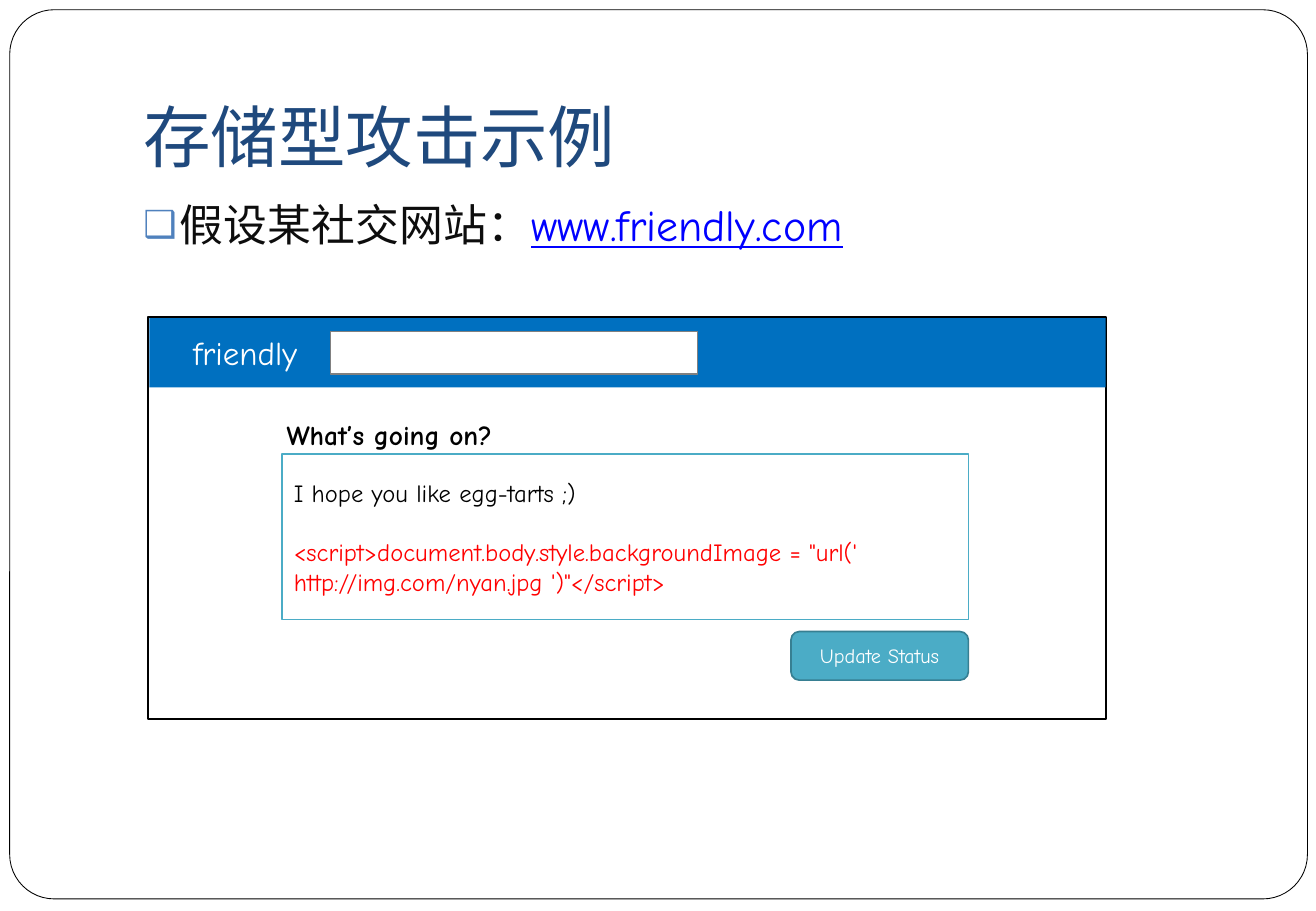
from lxml.etree import SubElement
from pptx import Presentation
from pptx.dml.color import RGBColor
from pptx.enum.shapes import MSO_SHAPE
from pptx.enum.text import MSO_ANCHOR, MSO_AUTO_SIZE, PP_ALIGN
from pptx.oxml.ns import qn
from pptx.util import Inches, Pt

WHITE = RGBColor(0xFF, 0xFF, 0xFF)
BLACK = RGBColor(0x00, 0x00, 0x00)
INK = RGBColor(0x0D, 0x0D, 0x0D)
NAVY = RGBColor(0x1F, 0x49, 0x7D)
BULLET = RGBColor(0x4F, 0x81, 0xBD)
LINK = RGBColor(0x00, 0x00, 0xFF)
BANNER = RGBColor(0x00, 0x70, 0xC0)
GREY = RGBColor(0x80, 0x80, 0x80)
TEAL = RGBColor(0x4B, 0xAC, 0xC6)
DARK_TEAL = RGBColor(0x37, 0x7F, 0x92)
RED = RGBColor(0xFF, 0x00, 0x00)


class Deck:
    """Hold the style and the current slide; boxes are percentages of the slide's size."""

    def __init__(self, font, width, height):
        self.font = font
        self.prs = Presentation()
        self.prs.slide_width, self.prs.slide_height = Inches(width), Inches(height)
        self.s = self.prs.slides.add_slide(self.prs.slide_layouts[1])
        self.shapes = self.s.shapes

    def box(self, x, y, w, h):
        width, height = self.prs.slide_width, self.prs.slide_height
        return [int(share * side / 100) for share, side in
                ((x, width), (y, height), (w, width), (h, height))]

    def run(self, p, text, size, color, **formats):
        r = p.add_run()
        r.text = text
        r.font.color.rgb = color
        for name, value in {"name": self.font, "size": Pt(size), **formats}.items():
            setattr(r.font, name, value)

    def frame(self, sp, **formats):
        tf = sp.text_frame
        defaults = {"word_wrap": True, "auto_size": MSO_AUTO_SIZE.NONE}
        for name, value in {**defaults, **formats}.items():
            setattr(tf, name, value)
        return tf

    def place(self, sp, box):
        for name, value in zip(("left", "top", "width", "height"), self.box(*box)):
            setattr(sp, name, value)

    def title(self, box, text):
        sp = self.s.shapes.title
        self.place(sp, box)
        tf = self.frame(sp, vertical_anchor=MSO_ANCHOR.BOTTOM, margin_bottom=Inches(0.1))
        p = tf.paragraphs[0]
        p.alignment = PP_ALIGN.LEFT
        self.run(p, text, 40, NAVY)

    def bullet(self, box, runs):
        sp = self.s.placeholders[1]
        self.place(sp, box)
        p = self.frame(sp).paragraphs[0]
        p.space_before = Pt(5.8)
        pPr = p._p.get_or_add_pPr()
        pPr.set("marL", str(Inches(0.3)))
        pPr.set("indent", str(-Inches(0.3)))
        color = SubElement(pPr, qn("a:buClr"))
        SubElement(color, qn("a:srgbClr"), val=str(BULLET))
        SubElement(pPr, qn("a:buSzPct"), val="85000")
        SubElement(pPr, qn("a:buChar"), char="❑")
        for text, color, underline in runs:
            self.run(p, text, 26, color, underline=underline)

    def shape(self, box, fill, line=None, weight=1, radius=None):
        kind = MSO_SHAPE.RECTANGLE if radius is None else MSO_SHAPE.ROUNDED_RECTANGLE
        sp = self.shapes.add_shape(kind, *self.box(*box))
        sp.shadow.inherit = False
        sp.fill.solid()
        sp.fill.fore_color.rgb = fill
        if line is None:
            sp.line.fill.background()
        else:
            sp.line.color.rgb = line
            sp.line.width = Pt(weight)
        if radius is not None:
            sp.adjustments[0] = radius
        return sp

    def label(self, sp, paragraphs, size, align=PP_ALIGN.LEFT, gap=0, **formats):
        tf = self.frame(sp, vertical_anchor=MSO_ANCHOR.MIDDLE, **formats)
        for i, (text, color) in enumerate(paragraphs):
            p = tf.add_paragraph() if i else tf.paragraphs[0]
            p.alignment = align
            p.space_before = Pt(gap if i else 0)
            self.run(p, text, size, color)

    def text(self, box, text, size, color, **formats):
        sp = self.shapes.add_textbox(*self.box(*box))
        tf = self.frame(sp, word_wrap=False, auto_size=MSO_AUTO_SIZE.SHAPE_TO_FIT_TEXT)
        self.run(tf.paragraphs[0], text, size, color, **formats)

    def to_back(self, sp):
        self.s.shapes.title._element.addprevious(sp._element)

    def group(self):
        self.shapes = self.s.shapes.add_group_shape().shapes


def main():
    deck = Deck("Comic Neue", 10.83, 7.5)
    deck.to_back(deck.shape((0.74, 1.07, 98.61, 97.6), WHITE, BLACK, 0.5, radius=0.05))
    deck.title((9.97, 4, 85.04, 16.67), "存储型攻击示例")
    deck.bullet((9.97, 21.07, 85.04, 66.67),
                [("假设某社交网站：", INK, None), ("www.friendly.com", LINK, True)])

    deck.group()
    deck.shape((11.27, 34.8, 72.76, 44.13), WHITE, BLACK)
    banner = deck.shape((11.36, 34.93, 72.67, 7.6), BANNER)
    deck.label(banner, [("friendly", WHITE)], 19.5, margin_left=Inches(0.36))
    deck.shape((25.12, 36.4, 27.89, 4.67), WHITE, GREY)
    deck.text((20.87, 45.2, 18.28, 4.93), "What’s going on?", 16.2, BLACK, bold=True)
    status = deck.shape((21.42, 49.87, 52.17, 18.13), WHITE, TEAL)
    deck.label(status, [
        ("I hope you like egg-tarts ;)", BLACK),
        ("<script>document.body.style.backgroundImage = \"url(' "
         "http://img.com/nyan.jpg ')\"</script>", RED),
    ], 14.6, gap=17.8)
    button = deck.shape((60.11, 69.33, 13.48, 5.33), TEAL, DARK_TEAL, radius=0.17)
    deck.label(button, [("Update Status", WHITE)], 12, PP_ALIGN.CENTER)
    deck.prs.save("out.pptx")


if __name__ == "__main__":
    main()
